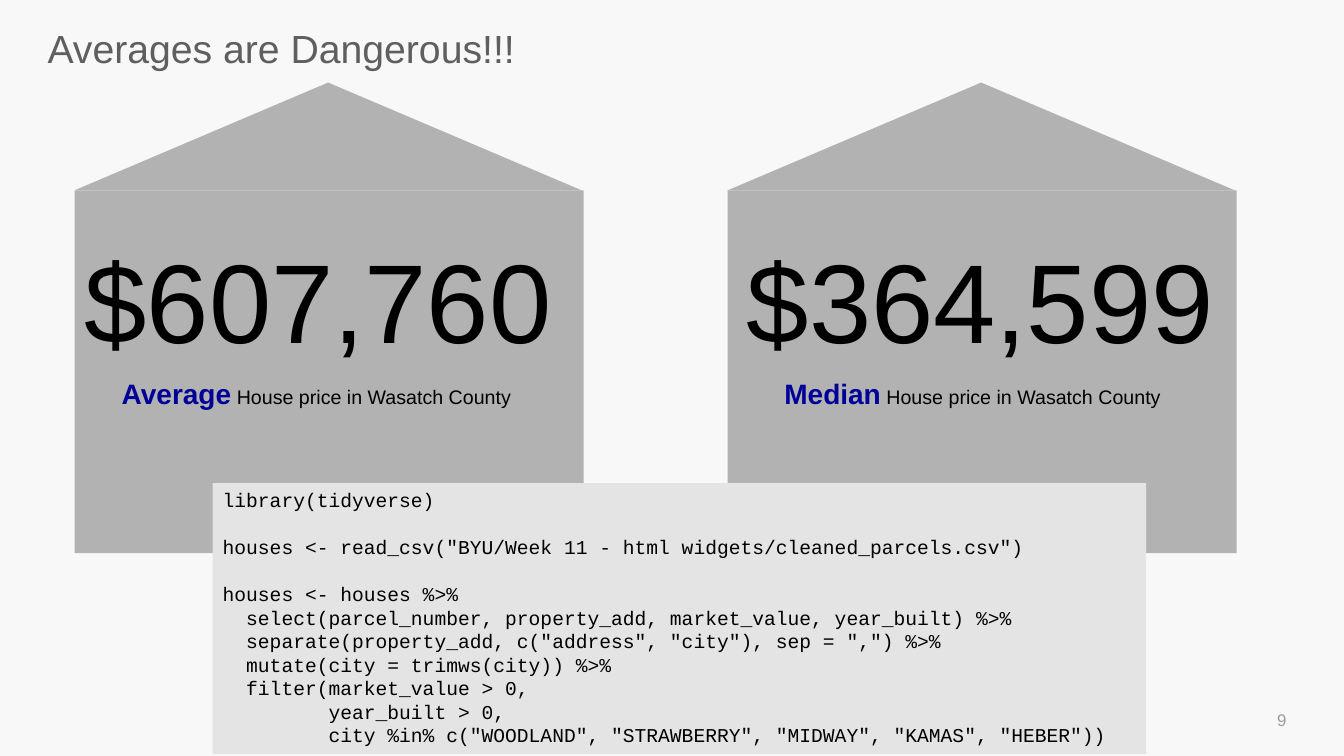
import pptx
import pptx.util
import pptx.dml.color
import pptx.enum.shapes
import pptx.enum.text

Pt = pptx.util.Pt
SHAPES = pptx.enum.shapes.MSO_SHAPE
ALIGN = pptx.enum.text.PP_ALIGN
ANCHOR = pptx.enum.text.MSO_ANCHOR

CODE = """library(tidyverse)

houses <- read_csv("BYU/Week 11 - html widgets/cleaned_parcels.csv")

houses <- houses %>%
  select(parcel_number, property_add, market_value, year_built) %>%
  separate(property_add, c("address", "city"), sep = ",") %>%
  mutate(city = trimws(city)) %>%
  filter(market_value > 0,
         year_built > 0,
         city %in% c("WOODLAND", "STRAWBERRY", "MIDWAY", "KAMAS", "HEBER"))"""
CODE_LINE = 16.8


def color(value):
    """Turn a hex string into a colour."""
    return pptx.dml.color.RGBColor.from_string(value)


def add_filled(page, kind, box, fill):
    """Add a plain filled shape without outline or shadow."""
    shape = page.shapes.add_shape(kind, *map(Pt, box))
    shape.shadow.inherit = False
    shape.fill.solid()
    shape.fill.fore_color.rgb = color(fill)
    shape.line.fill.background()
    return shape


def add_span(para, text, size, ink, bold=False, name="Arial"):
    """Append one formatted run to a paragraph."""
    span = para.add_run()
    span.text = text
    span.font.name = name
    span.font.size = Pt(size)
    span.font.bold = bold
    span.font.color.rgb = color(ink)


def add_text(page, box, spans, align=ALIGN.LEFT):
    """Add a one-paragraph text box and return its frame."""
    frame = page.shapes.add_textbox(*map(Pt, box)).text_frame
    frame.word_wrap = True
    para = frame.paragraphs[0]
    para.alignment = align
    for span in spans:
        add_span(para, *span)
    return frame


def add_title(page, box, text):
    """Place the slide title without insets."""
    frame = add_text(page, box, [(text, 28, "5F5F5F")])
    frame.margin_left = frame.margin_right = frame.margin_top = frame.margin_bottom = 0
    frame.paragraphs[0].line_spacing = 0.86


def add_page_number(page, box, text):
    """Place the page number at the right of its box."""
    frame = add_text(page, box, [(text, 12, "9B9B9B")], ALIGN.RIGHT)
    frame.vertical_anchor = ANCHOR.MIDDLE


def add_house(page, box, price, measure, price_inset, caption_inset):
    """Draw a house with its price and caption inside the given box."""
    left, top, width, height = box
    roof = 77
    wall_top = top + roof
    add_filled(page, SHAPES.RECTANGLE, (left, wall_top, width, height - roof), "B2B2B2")
    add_filled(page, SHAPES.ISOSCELES_TRIANGLE, (left, top, width - 1.4, roof), "B2B2B2")
    add_text(page, (left + price_inset, wall_top + 26, 350, 104.4), [(price, 80, "000000")])
    add_text(page, (left + caption_inset, wall_top + 129.6, 302.4, 31.7),
             [(measure, 20, "000099", True),
              (" House price in Wasatch County", 14, "000000")], ALIGN.CENTER)


def add_code(page, box, code):
    """Place a code listing on a grey panel, with spacing for its gaps."""
    frame = add_filled(page, SHAPES.RECTANGLE, box, "E4E4E4").text_frame
    frame.word_wrap = True
    frame.vertical_anchor = ANCHOR.TOP
    for block_index, block in enumerate(code.split("\n\n")):
        for line_index, line in enumerate(block.split("\n")):
            first = block_index == line_index == 0
            para = frame.paragraphs[0] if first else frame.add_paragraph()
            para.alignment = ALIGN.LEFT
            para.line_spacing = Pt(CODE_LINE)
            if block_index and not line_index:
                para.space_before = Pt(CODE_LINE)
            add_span(para, line, 14, "000000", name="Courier New")


def main():
    """Build the slide and save the deck."""
    deck = pptx.Presentation()
    deck.slide_width, deck.slide_height = Pt(960), Pt(540)
    page = deck.slides.add_slide(deck.slide_layouts[6])
    page.background.fill.solid()
    page.background.fill.fore_color.rgb = color("F8F8F8")
    add_title(page, (34, 22.3, 892, 64), "Averages are Dangerous!!!")
    add_page_number(page, (710, 499.7, 216, 28.8), "9")
    add_house(page, (53.3, 59, 363.6, 336.2), "$607,760", "Average", 0, 21.6)
    add_house(page, (519.8, 59, 363.6, 336.2), "$364,599", "Median", 6.5, 23.8)
    add_code(page, (152, 345, 666.7, 193.7), CODE)
    deck.save("out.pptx")


if __name__ == "__main__":
    main()
